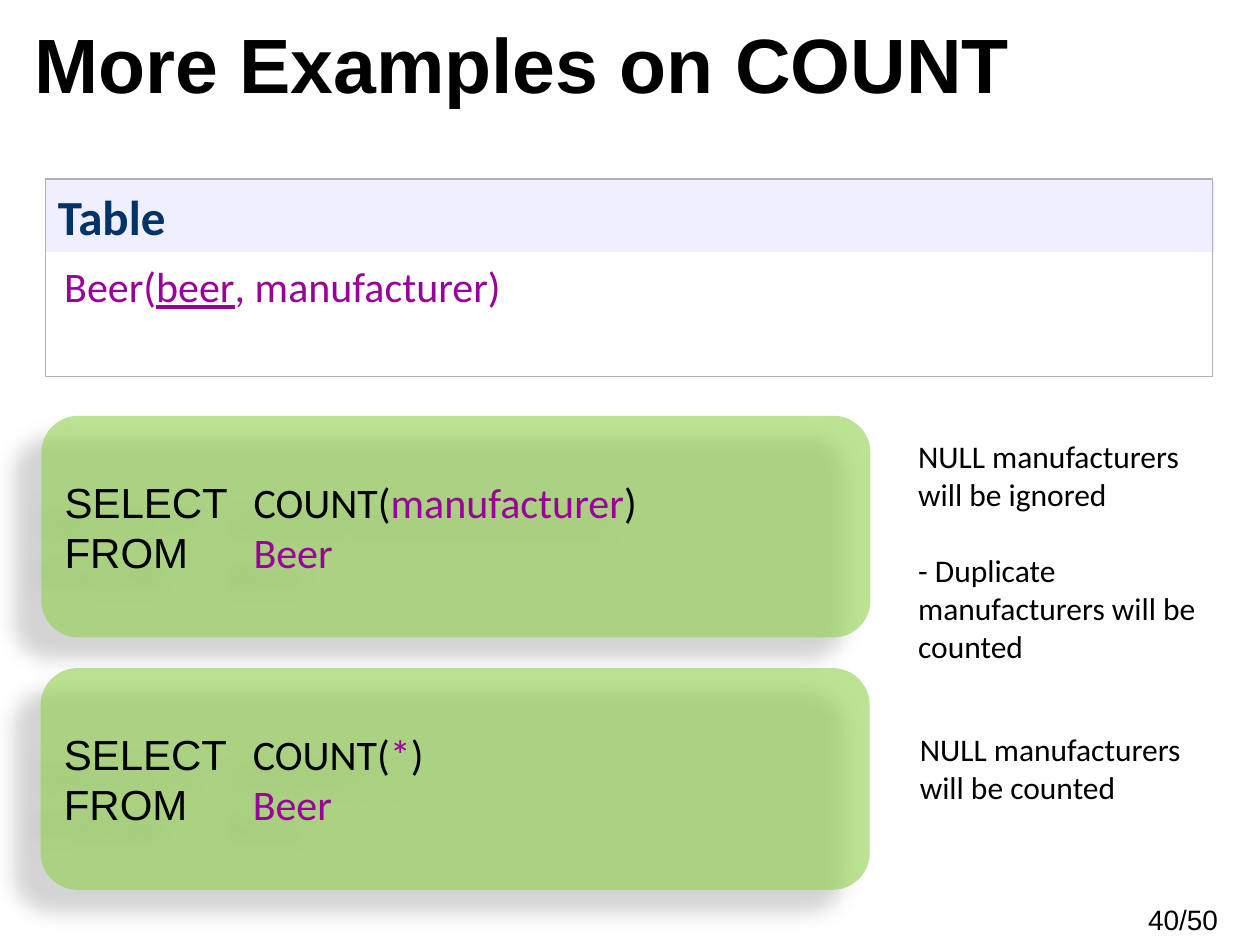
from dataclasses import dataclass

import lxml.etree
import pptx
import pptx.dml.color
import pptx.enum.shapes
import pptx.enum.text
import pptx.oxml
import pptx.oxml.ns
import pptx.util

Pt = pptx.util.Pt
RGB = pptx.dml.color.RGBColor
SHAPE = pptx.enum.shapes.MSO_SHAPE
ALIGN = pptx.enum.text.PP_ALIGN
ANCHOR = pptx.enum.text.MSO_ANCHOR
qn = pptx.oxml.ns.qn

BLACK = RGB(0x00, 0x00, 0x00)
NAVY = RGB(0x00, 0x33, 0x66)
PURPLE = RGB(0x99, 0x00, 0x99)
LAVENDER = RGB(0xEF, 0xEF, 0xFF)
GREY = RGB(0xB2, 0xB2, 0xB2)
GREEN = RGB(0x92, 0xD0, 0x50)

SHADOW = (
    f'<a:effectLst xmlns:a="{pptx.oxml.ns.nsdecls("a").split(chr(34))[1]}">'
    '<a:outerShdw blurRad="149860" dist="250190" dir="8460000" algn="ctr" rotWithShape="0">'
    '<a:srgbClr val="000000"><a:alpha val="28000"/></a:srgbClr>'
    "</a:outerShdw></a:effectLst>"
)


@dataclass(frozen=True)
class Box:
    left: float
    top: float
    width: float
    height: float

    def lengths(self) -> tuple:
        return Pt(self.left), Pt(self.top), Pt(self.width), Pt(self.height)


@dataclass(frozen=True)
class Span:
    text: str
    color: RGB = BLACK
    font: str = "Calibri"
    underline: bool = False


@dataclass(frozen=True)
class Query:
    box: Box
    argument: str


@dataclass(frozen=True)
class Note:
    box: Box
    lines: tuple


def style(r, size: float, color: RGB, font: str = "Calibri", bold: bool = False) -> None:
    r.font.size = Pt(size)
    r.font.name = font
    r.font.bold = bold
    r.font.color.rgb = color


def add_spans(p, spans: tuple, size: float) -> None:
    p.alignment = ALIGN.LEFT
    for span in spans:
        r = p.add_run()
        r.text = span.text
        style(r, size, span.color, span.font)
        if span.underline:
            r.font.underline = True


def add_text(s, box: Box):
    sp = s.shapes.add_textbox(*box.lengths())
    sp.text_frame.word_wrap = True
    return sp.text_frame


def add_shape(s, kind, box: Box):
    sp = s.shapes.add_shape(kind, *box.lengths())
    sp.shadow.inherit = False
    sp.line.fill.background()
    return sp


def add_title(s, text: str, box: Box) -> None:
    sp = s.shapes.title
    sp.left, sp.top, sp.width, sp.height = box.lengths()
    tf = sp.text_frame
    tf.auto_size = pptx.enum.text.MSO_AUTO_SIZE.NONE
    tf.vertical_anchor = ANCHOR.TOP
    tf.text = text
    p = tf.paragraphs[0]
    p.alignment = ALIGN.LEFT
    style(p.runs[0], 44, BLACK, "Arial", True)


def add_schema(s) -> None:
    header = add_shape(s, SHAPE.RECTANGLE, Box(26, 103, 668, 41))
    header.fill.solid()
    header.fill.fore_color.rgb = LAVENDER
    tf = header.text_frame
    tf.vertical_anchor = ANCHOR.TOP
    tf.text = "Table"
    p = tf.paragraphs[0]
    p.alignment = ALIGN.LEFT
    style(p.runs[0], 28, NAVY, bold=True)

    frame = add_shape(s, SHAPE.RECTANGLE, Box(26, 102.3, 667, 113))
    frame.fill.background()
    frame.line.color.rgb = GREY
    frame.line.width = Pt(0.75)

    tf = add_text(s, Box(29.6, 145.5, 666, 36))
    spans = (
        Span("Beer(", PURPLE),
        Span("beer", PURPLE, underline=True),
        Span(", manufacturer)", PURPLE),
    )
    add_spans(tf.paragraphs[0], spans, 24)


def add_query(s, query: Query) -> None:
    sp = add_shape(s, SHAPE.ROUNDED_RECTANGLE, query.box)
    sp.adjustments[0] = 0.167
    sp.fill.solid()
    sp.fill.fore_color.rgb = GREEN
    color = sp.fill._xPr.find(qn("a:solidFill"))[0]
    lxml.etree.SubElement(color, qn("a:alpha")).set("val", "61000")
    effects = sp._element.spPr.find(qn("a:effectLst"))
    effects.getparent().replace(effects, pptx.oxml.parse_xml(SHADOW))

    tf = sp.text_frame
    tf.word_wrap = True
    tf.vertical_anchor = ANCHOR.MIDDLE
    select = (
        Span("SELECT \t", font="Arial"),
        Span("COUNT("),
        Span(query.argument, PURPLE),
        Span(")"),
    )
    source = (Span("FROM\t\t", font="Arial"), Span("Beer", PURPLE))
    add_spans(tf.paragraphs[0], select, 24)
    add_spans(tf.add_paragraph(), source, 24)


def add_note(s, note: Note) -> None:
    tf = add_text(s, note.box)
    tf.text = "\n".join(note.lines)
    for p in tf.paragraphs:
        style(p.runs[0], 18, BLACK)
        if p.text.startswith("-"):
            p.space_before = Pt(22)


def add_page_number(s, text: str) -> None:
    tf = add_text(s, Box(637, 512, 78, 28))
    tf.text = text
    p = tf.paragraphs[0]
    p.alignment = ALIGN.CENTER
    style(p.runs[0], 16, BLACK, "Arial")


QUERIES = (
    Query(Box(23.6, 237.6, 473.8, 126.7), "manufacturer"),
    Query(Box(23.2, 381.8, 473.8, 126.7), "*"),
)
NOTES = (
    Note(
        Box(517.6, 246.2, 188, 138),
        ("NULL manufacturers", "will be ignored", "- Duplicate manufacturers will be counted"),
    ),
    Note(Box(518.5, 413.8, 187, 51), ("NULL manufacturers", "will be counted")),
)


def main() -> None:
    prs = pptx.Presentation()
    prs.slide_width, prs.slide_height = Pt(720), Pt(540)
    s = prs.slides.add_slide(prs.slide_layouts[5])
    add_title(s, "More Examples on COUNT", Box(12.3, 5.8, 613, 60.5))
    add_page_number(s, "40/50")
    add_schema(s)
    for query in QUERIES:
        add_query(s, query)
    for note in NOTES:
        add_note(s, note)
    prs.save("out.pptx")


if __name__ == "__main__":
    main()
